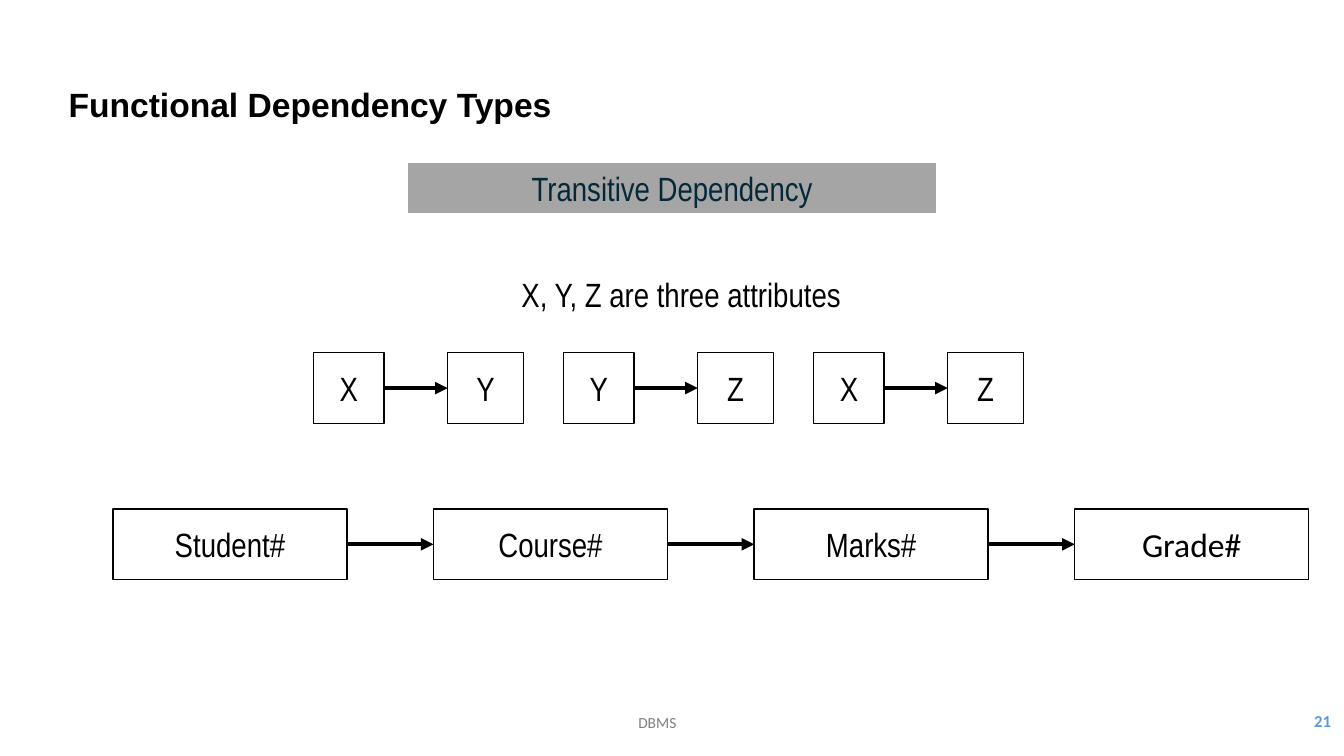
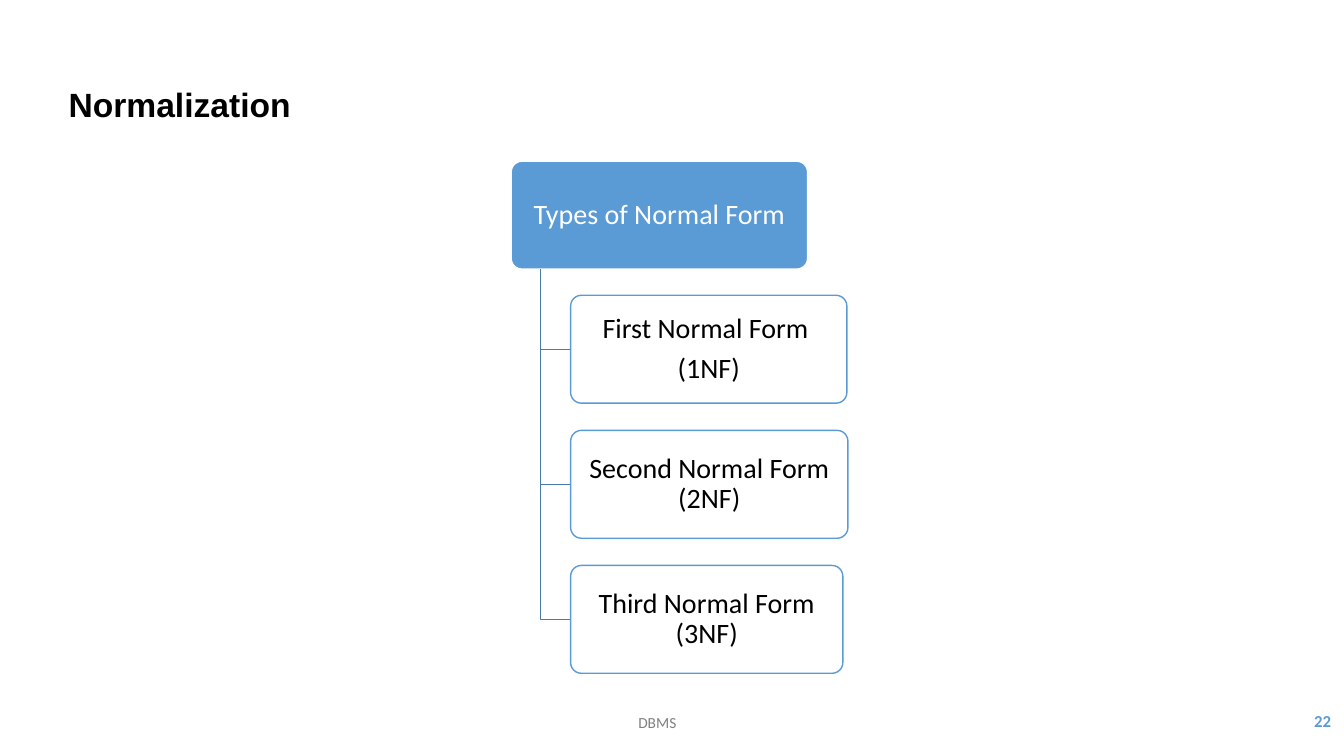
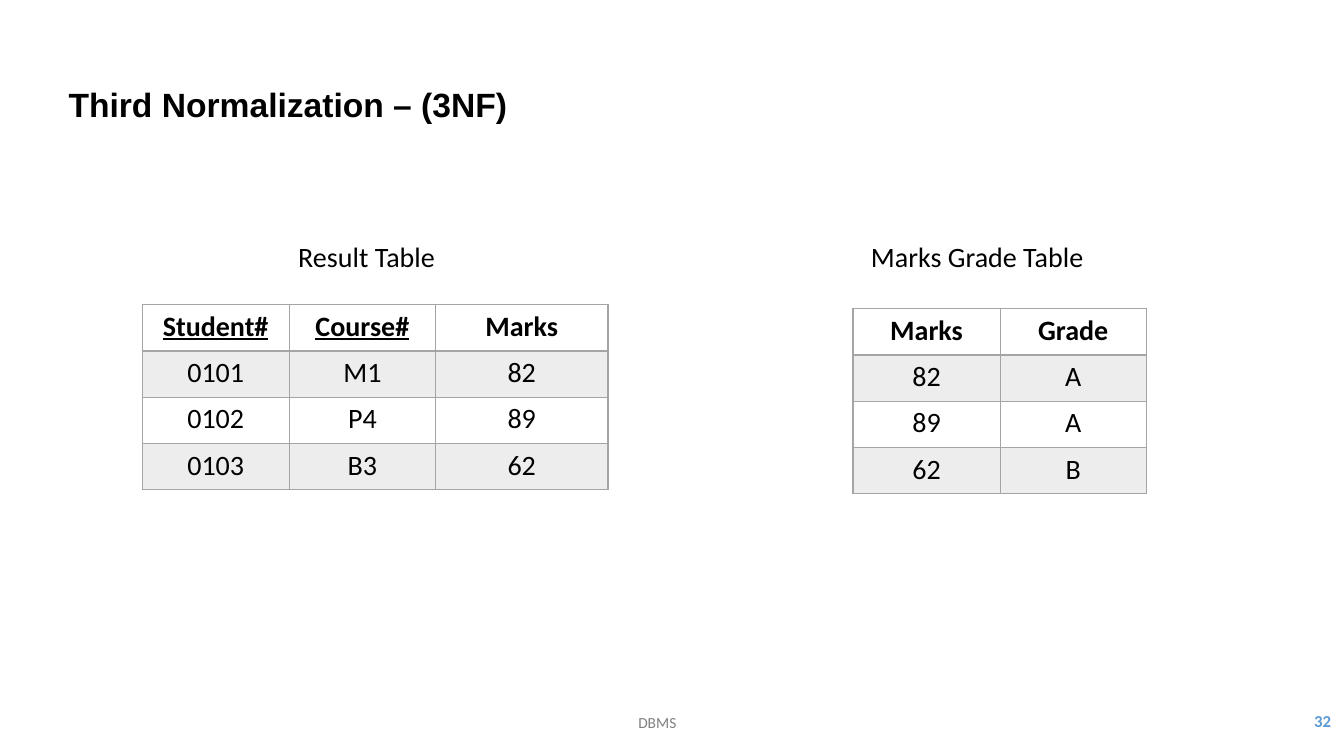
from lxml.etree import SubElement
from pptx import Presentation
from pptx.dml.color import RGBColor
from pptx.enum.shapes import MSO_CONNECTOR, MSO_SHAPE
from pptx.enum.text import MSO_ANCHOR as Anchor, MSO_AUTO_SIZE, PP_ALIGN as Align
from pptx.oxml.ns import qn
from pptx.util import Inches, Pt

BLACK = RGBColor(0x00, 0x00, 0x00)
WHITE = RGBColor(0xFF, 0xFF, 0xFF)
BLUE = RGBColor(0x5B, 0x9B, 0xD5)
BRANCH_BLUE = RGBColor(0x49, 0x7C, 0xAB)
NAVY = RGBColor(0x05, 0x28, 0x39)
GREY = RGBColor(0xA5, 0xA5, 0xA5)
BAND_GREY = RGBColor(0xED, 0xED, 0xED)
FOOTER_GREY = RGBColor(0x80, 0x80, 0x80)

TITLE_FONT = "Arial"
NARROW_FONT = "Arial Narrow"
BODY_FONT = "Calibri"


def format_text(text_frame, size, font=BODY_FONT, color=BLACK, bold=False,
                align=Align.LEFT, anchor=Anchor.TOP):
    text_frame.word_wrap = True
    text_frame.vertical_anchor = anchor
    for paragraph in text_frame.paragraphs:
        paragraph.alignment = align
        for run in paragraph.runs:
            run.font.size = Pt(size)
            run.font.name = font
            run.font.bold = bold
            run.font.color.rgb = color


def add_text(slide, text, left, top, width, height, size, **style):
    shape = slide.shapes.add_textbox(
        Inches(left), Inches(top), Inches(width), Inches(height))
    shape.text_frame.text = text
    format_text(shape.text_frame, size, **style)


def add_box(slide, text, left, top, width, height, size=24, fill=None,
            line=BLACK, line_width=1, kind=MSO_SHAPE.RECTANGLE, **style):
    shape = slide.shapes.add_shape(
        kind, Inches(left), Inches(top), Inches(width), Inches(height))
    shape.shadow.inherit = False
    if fill is None:
        shape.fill.background()
    else:
        shape.fill.solid()
        shape.fill.fore_color.rgb = fill
    shape.line.color.rgb = line
    shape.line.width = Pt(line_width)
    shape.text_frame.text = text
    format_text(shape.text_frame, size, align=Align.CENTER,
                anchor=Anchor.MIDDLE, **style)
    return shape


def add_arrow(slide, source, target):
    connector = slide.shapes.add_connector(MSO_CONNECTOR.STRAIGHT, 0, 0, 0, 0)
    connector.begin_connect(source, 3)
    connector.end_connect(target, 1)
    connector.line.color.rgb = BLACK
    connector.line.width = Pt(3)
    properties = connector.element.spPr
    SubElement(properties.find(qn("a:ln")), qn("a:tailEnd"), type="triangle")
    SubElement(properties, qn("a:effectLst"))


def add_node(slide, text, left, top, width, fill, line, color):
    shape = add_box(slide, text, left, top, width, 1.07, size=20, fill=fill,
                    line=line, kind=MSO_SHAPE.ROUNDED_RECTANGLE, color=color)
    shape.adjustments[0] = 0.1
    text_frame = shape.text_frame
    text_frame.margin_left = text_frame.margin_right = Inches(0.07)
    text_frame.margin_top = text_frame.margin_bottom = Inches(0.06)
    for paragraph in text_frame.paragraphs:
        paragraph.line_spacing = 0.9
        paragraph.space_after = Pt(7)


def add_branch(slide, left, top, right, bottom):
    builder = slide.shapes.build_freeform(Inches(left), Inches(top))
    builder.add_line_segments(
        [(Inches(left), Inches(bottom)), (Inches(right), Inches(bottom))],
        close=False)
    shape = builder.convert_to_shape()
    shape.shadow.inherit = False
    shape.fill.background()
    shape.line.color.rgb = BRANCH_BLUE
    shape.line.width = Pt(1)


def set_borders(cell, **widths):
    properties = cell._tc.get_or_add_tcPr()
    for side in "LRTB":
        line = SubElement(properties, qn(f"a:ln{side}"),
                          w=str(Pt(widths.get(side, 1))))
        fill = SubElement(line, qn("a:solidFill"))
        SubElement(fill, qn("a:srgbClr"), val=str(GREY))


def add_data_table(slide, left, top, column_widths, rows, keys=()):
    row_height = 0.46
    table = slide.shapes.add_table(
        len(rows), len(column_widths), Inches(left), Inches(top),
        Inches(sum(column_widths)), Inches(row_height * len(rows))).table
    table.first_row = False
    table.horz_banding = False
    for column, width in zip(table.columns, column_widths):
        column.width = Inches(width)
    for row_index, values in enumerate(rows):
        table.rows[row_index].height = Inches(row_height)
        for column_index, value in enumerate(values):
            cell = table.cell(row_index, column_index)
            cell.text = value
            format_text(cell.text_frame, 20, bold=row_index == 0,
                        align=Align.CENTER)
            if value in keys:
                cell.text_frame.paragraphs[0].runs[0].font.underline = True
            set_borders(cell, B=2 if row_index == 0 else 1,
                        T=2 if row_index == 1 else 1)
            if row_index % 2:
                cell.fill.solid()
                cell.fill.fore_color.rgb = BAND_GREY
            else:
                cell.fill.background()


def add_slide(presentation, title, number):
    slide = presentation.slides.add_slide(presentation.slide_layouts[5])
    shape = slide.shapes.title
    shape.left, shape.top = Inches(0.58), Inches(0.86)
    shape.width, shape.height = Inches(10.44), Inches(0.4)
    shape.text_frame.text = title
    shape.text_frame.auto_size = MSO_AUTO_SIZE.NONE
    format_text(shape.text_frame, 24, font=TITLE_FONT, bold=True,
                anchor=Anchor.MIDDLE)
    shape.text_frame.paragraphs[0].line_spacing = 0.9
    add_text(slide, "DBMS", 3.29, 6.97, 6.46, 0.4, 11, color=FOOTER_GREY,
             align=Align.CENTER, anchor=Anchor.MIDDLE)
    add_text(slide, str(number), 11.63, 6.95, 1.67, 0.4, 12, color=BLUE,
             bold=True, align=Align.RIGHT, anchor=Anchor.MIDDLE)
    return slide


def build_dependency_slide(presentation):
    slide = add_slide(presentation, "Functional Dependency Types", 21)
    add_box(slide, "Transitive Dependency", 4.04, 1.61, 5.25, 0.51, fill=GREY,
            line=WHITE, line_width=0.5, font=NARROW_FONT, color=NAVY)
    add_text(slide, "X, Y, Z are three attributes", 3.83, 2.67, 5.85, 0.5, 24,
             font=NARROW_FONT, align=Align.CENTER)

    for index, (source, target) in enumerate(["XY", "YZ", "XZ"]):
        left = 3.11 + 2.48 * index
        add_arrow(
            slide,
            add_box(slide, source, left, 3.5, 0.7, 0.7, font=NARROW_FONT),
            add_box(slide, target, left + 1.33, 3.5, 0.75, 0.7,
                    font=NARROW_FONT))

    attributes = [("Student#", NARROW_FONT), ("Course#", NARROW_FONT),
                  ("Marks#", NARROW_FONT), ("Grade#", BODY_FONT)]
    boxes = [add_box(slide, text, 1.12 + 3.18 * index, 5.05, 2.32, 0.7,
                     font=font)
             for index, (text, font) in enumerate(attributes)]
    for source, target in zip(boxes, boxes[1:]):
        add_arrow(slide, source, target)


def build_normal_forms_slide(presentation):
    slide = add_slide(presentation, "Normalization", 22)
    add_node(slide, "Types of Normal Form", 5.07, 1.6, 2.94, BLUE, WHITE, WHITE)
    forms = [("First Normal Form \n(1NF)", 2.74),
             ("Second Normal Form (2NF)", 2.75),
             ("Third Normal Form (3NF)", 2.7)]
    for index, (text, width) in enumerate(forms):
        top = 2.93 + 1.34 * index
        add_branch(slide, 5.36, 2.67, 5.66, top + 0.535)
        add_node(slide, text, 5.66, top, width, WHITE, BLUE, BLACK)


def build_third_form_slide(presentation):
    slide = add_slide(presentation, "Third Normalization – (3NF)", 32)
    add_text(slide, "Result Table", 2.86, 2.33, 2.13, 0.44, 20)
    add_data_table(slide, 1.41, 3.02, [1.46, 1.45, 1.71],
                   [("Student#", "Course#", "Marks"),
                    ("0101", "M1", "82"),
                    ("0102", "P4", "89"),
                    ("0103", "B3", "62")],
                   keys=("Student#", "Course#"))
    add_text(slide, "Marks Grade Table", 8.54, 2.33, 2.93, 0.44, 20)
    add_data_table(slide, 8.46, 3.06, [1.46, 1.45],
                   [("Marks", "Grade"), ("82", "A"), ("89", "A"), ("62", "B")])


def main():
    presentation = Presentation()
    presentation.slide_width = Inches(13.33)
    presentation.slide_height = Inches(7.5)
    build_dependency_slide(presentation)
    build_normal_forms_slide(presentation)
    build_third_form_slide(presentation)
    presentation.save("out.pptx")


if __name__ == "__main__":
    main()
